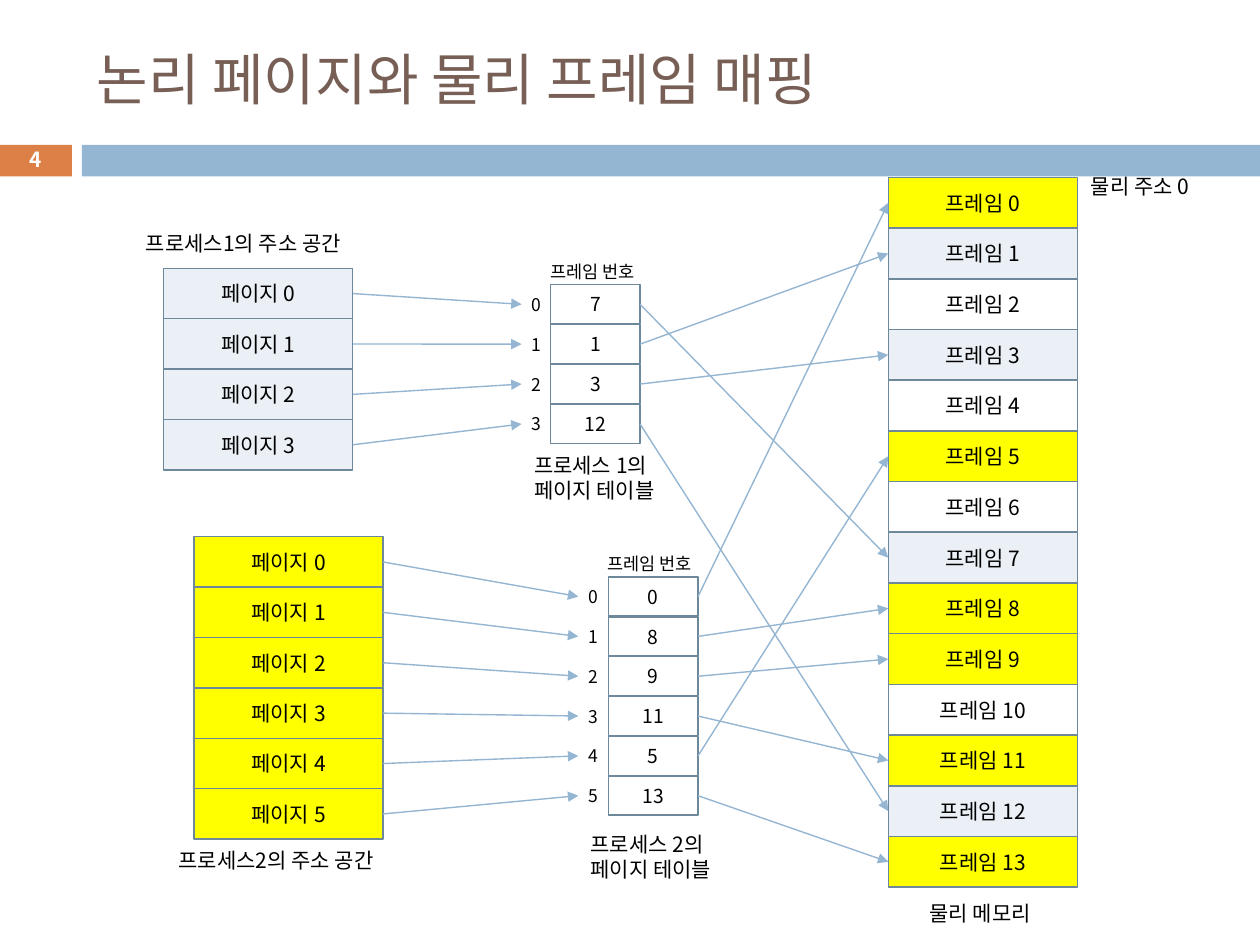
from dataclasses import dataclass
from typing import Optional

from lxml import etree
from pptx import Presentation
from pptx.dml.color import RGBColor
from pptx.enum.shapes import MSO_CONNECTOR, MSO_SHAPE
from pptx.enum.text import MSO_ANCHOR, PP_ALIGN
from pptx.oxml.ns import qn
from pptx.util import Inches, Pt

FONT = "Noto Sans CJK KR"
LEFT, CENTER = PP_ALIGN.LEFT, PP_ALIGN.CENTER
TOP, MIDDLE = MSO_ANCHOR.TOP, MSO_ANCHOR.MIDDLE
RECTANGLE, STRAIGHT = MSO_SHAPE.RECTANGLE, MSO_CONNECTOR.STRAIGHT
LEFT_SITE, RIGHT_SITE = 1, 3
BLACK, WHITE, BROWN = "000000", "FFFFFF", "775F55"
ORANGE, BLUE, OUTLINE = "DD8047", "94B6D2", "6D879B"
PALE, YELLOW = "EAF0F6", "FFFF00"
FRAME_COUNT = 14


@dataclass
class Stack:
    """A column of equal cells, from the first top to the last top."""
    left: float
    first_top: float
    last_top: float
    width: float
    height: float
    size: float = 12


@dataclass
class Process:
    """A process with its pages, its page table and its captions."""
    color: str
    frames: list[int]
    pages: Stack
    table: Stack
    index_left: float
    header: tuple[float, float]
    space_caption: tuple[float, float]
    table_caption: tuple[float, float]
    number: int


FRAMES = Stack(7.05, 1.41, 6.64, 1.5, 0.4)
PROCESSES = [
    Process(PALE, [7, 1, 3, 12], Stack(1.3, 2.13, 3.33, 1.5, 0.4),
            Stack(4.37, 2.26, 3.21, 0.71, 0.31, 11), 4.14,
            (4.23, 2.02), (1.06, 1.78), (4.14, 3.54), 1),
    Process(YELLOW, [0, 8, 9, 11, 5, 13], Stack(1.54, 4.26, 6.26, 1.5, 0.4),
            Stack(4.83, 4.58, 6.16, 0.71, 0.31, 11), 4.59,
            (4.68, 4.34), (1.32, 6.68), (4.59, 6.55), 2),
]


def rgb(value: str) -> RGBColor:
    """Turn a hex string into a colour."""
    return RGBColor.from_string(value)


def write(shape, text: str, *, size: float = 12, color: str = BLACK,
          bold: bool = False, align=LEFT, anchor=TOP,
          wrap: bool = False, inset: Optional[float] = None) -> None:
    """Fill a shape with formatted text, one paragraph for each line."""
    frame = shape.text_frame
    frame.word_wrap = wrap
    frame.vertical_anchor = anchor
    if inset is not None:
        frame.margin_left = frame.margin_right = Inches(inset)
        frame.margin_top = frame.margin_bottom = Inches(inset)
    for index, line in enumerate(text.split("\n")):
        para = frame.add_paragraph() if index else frame.paragraphs[0]
        para.alignment = align
        span = para.add_run()
        span.text = line
        span.font.name = FONT
        span.font.size = Pt(size)
        span.font.bold = bold
        span.font.color.rgb = rgb(color)
        properties = span.font._element
        etree.SubElement(properties, qn("a:ea")).set("typeface", FONT)


def add_text(page, left: float, top: float, width: float, height: float,
             text: str, **style):
    """Add a text box."""
    box = page.shapes.add_textbox(
        Inches(left), Inches(top), Inches(width), Inches(height))
    write(box, text, **style)
    return box


def add_box(page, left: float, top: float, width: float, height: float,
            fill: Optional[str] = None, line: Optional[str] = None):
    """Add a rectangle with an optional fill and outline."""
    box = page.shapes.add_shape(
        RECTANGLE, Inches(left), Inches(top), Inches(width), Inches(height))
    box.shadow.inherit = False
    if fill:
        box.fill.solid()
        box.fill.fore_color.rgb = rgb(fill)
    else:
        box.fill.background()
    if line:
        box.line.color.rgb = rgb(line)
        box.line.width = Pt(0.75)
    else:
        box.line.fill.background()
    return box


def row_tops(stack: Stack, count: int) -> list[float]:
    """Spread the tops of the cells evenly."""
    step = (stack.last_top - stack.first_top) / (count - 1)
    return [stack.first_top + step * row for row in range(count)]


def add_stack(page, stack: Stack, labels: list[str],
              fills: list[Optional[str]]) -> list:
    """Draw a column of labelled cells."""
    cells = []
    for top, label, fill in zip(row_tops(stack, len(labels)), labels, fills):
        cell = add_box(page, stack.left, top, stack.width, stack.height,
                       fill, OUTLINE)
        write(cell, label, size=stack.size, align=CENTER, anchor=MIDDLE,
              wrap=True, inset=0.05)
        cells.append(cell)
    return cells


def add_arrow(page, source, target) -> None:
    """Join the right side of one shape to the left side of another."""
    arrow = page.shapes.add_connector(
        STRAIGHT, source.left + source.width, source.top + source.height // 2,
        target.left, target.top + target.height // 2)
    arrow.begin_connect(source, RIGHT_SITE)
    arrow.end_connect(target, LEFT_SITE)
    arrow.line.color.rgb = rgb(BLUE)
    arrow.line.width = Pt(0.79)
    line = arrow.line._get_or_add_ln()
    etree.SubElement(line, qn("a:tailEnd")).set("type", "triangle")
    etree.SubElement(arrow._element.spPr, qn("a:effectLst"))


def add_process(page, process: Process, frame_cells: list) -> None:
    """Draw one process and map its pages to physical frames."""
    count = len(process.frames)
    pages = add_stack(page, process.pages,
                      [f"페이지 {row}" for row in range(count)],
                      [process.color] * count)
    entries = add_stack(page, process.table,
                        [str(frame) for frame in process.frames],
                        [None] * count)
    for row, top in enumerate(row_tops(process.table, count)):
        index = add_text(page, process.index_left, top, 0.24,
                         process.table.height, str(row), size=10,
                         align=CENTER, anchor=MIDDLE, wrap=True, inset=0)
        add_arrow(page, pages[row], index)
        add_arrow(page, entries[row], frame_cells[process.frames[row]])
    add_text(page, *process.header, 0.95, 0.27, "프레임 번호",
             size=10, align=CENTER)
    add_text(page, *process.space_caption, 1.93, 0.3,
             f"프로세스{process.number}의 주소 공간")
    add_text(page, *process.table_caption, 1.27, 0.5,
             f"프로세스 {process.number}의\n페이지 테이블")


def main() -> None:
    """Build the slide on page-to-frame mapping."""
    deck = Presentation()
    deck.slide_width, deck.slide_height = Inches(10), Inches(7.5)
    page = deck.slides.add_slide(deck.slide_layouts[6])
    add_box(page, -0.01, 1.15, 0.58, 0.25, ORANGE)
    add_box(page, 0.65, 1.15, 9.35, 0.25, BLUE)
    add_text(page, 0.67, 0.25, 8.92, 0.74, "논리 페이지와 물리 프레임 매핑",
             size=32, color=BROWN, anchor=MIDDLE, wrap=True)
    add_text(page, -0.01, 1.13, 0.58, 0.27, "4", size=11.9, color=WHITE,
             bold=True, align=CENTER, anchor=MIDDLE, wrap=True)
    owners = {frame: process.color
              for process in PROCESSES for frame in process.frames}
    frame_cells = add_stack(
        page, FRAMES, [f"프레임 {number}" for number in range(FRAME_COUNT)],
        [owners.get(number) for number in range(FRAME_COUNT)])
    for process in PROCESSES:
        add_process(page, process, frame_cells)
    add_text(page, 7.28, 7.1, 1.1, 0.3, "물리 메모리")
    add_text(page, 8.56, 1.33, 1.09, 0.3, "물리 주소 0")
    deck.save("out.pptx")


if __name__ == "__main__":
    main()
